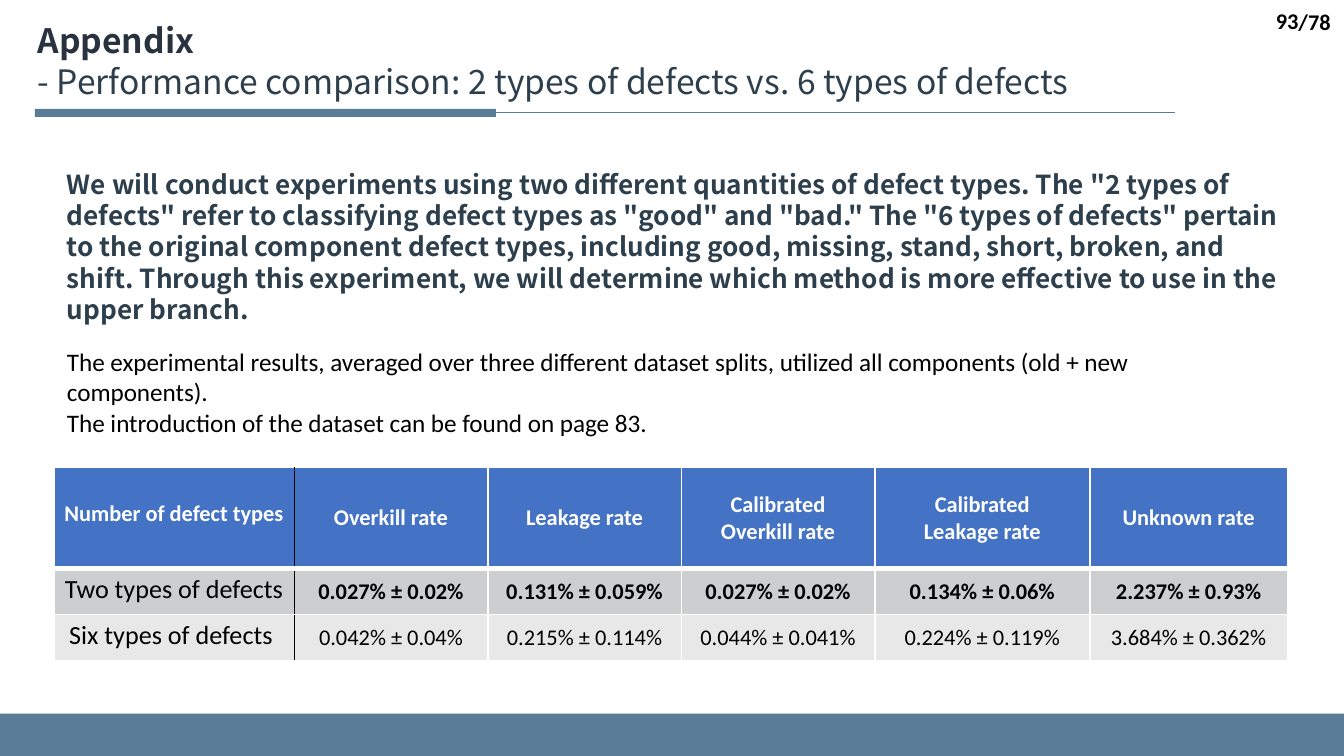
from lxml import etree
from pptx import Presentation
from pptx import util as u
from pptx.dml.color import RGBColor
from pptx.enum import shapes, text
from pptx.oxml.ns import qn

WIDTH = 10
HEIGHT = WIDTH * 9 / 16

STEEL = RGBColor(0x59, 0x7D, 0x98)
INK = RGBColor(0x29, 0x32, 0x3F)
SLATE = RGBColor(0x2D, 0x3F, 0x4C)
BLACK = RGBColor(0, 0, 0)
WHITE = RGBColor(0xFF, 0xFF, 0xFF)
HEADER_BLUE = RGBColor(0x44, 0x72, 0xC4)
DARK_BAND = RGBColor(0xCD, 0xCE, 0xCF)
LIGHT_BAND = RGBColor(0xE8, 0xE8, 0xE8)

SANS = "Noto Sans CJK SC"
CALIBRI = "Calibri"

INTRO = (
    'We will conduct experiments using two different quantities of defect types. '
    'The "2 types of defects" refer to classifying defect types as "good" and "bad." '
    'The "6 types of defects" pertain to the original component defect types, including '
    'good, missing, stand, short, broken, and shift. Through this experiment, we will '
    'determine which method is more effective to use in the upper branch.'
)
NOTES = [
    "The experimental results, averaged over three different dataset splits, utilized "
    "all components (old + new components).",
    "The introduction of the dataset can be found on page 83.",
]
RESULTS = [
    ["Number of defect types ", "Overkill rate", "Leakage rate",
     "Calibrated\nOverkill rate", "Calibrated\nLeakage rate", "Unknown rate"],
    ["Two types of defects ", "0.027% ± 0.02%", "0.131% ± 0.059%",
     "0.027% ± 0.02%", "0.134% ± 0.06%", "2.237% ± 0.93%"],
    ["Six types of defects ", "0.042% ± 0.04%", "0.215% ± 0.114%",
     "0.044% ± 0.041%", "0.224% ± 0.119%", "3.684% ± 0.362%"],
]
COLUMN_WIDTHS = [1.79, 1.44, 1.44, 1.44, 1.6, 1.47]
ROW_HEIGHTS = [0.75, 0.3, 0.3]
ROW_FILLS = [HEADER_BLUE, DARK_BAND, LIGHT_BAND]


def box(left, top, width, height):
    return [u.Inches(v) for v in (left, top, width, height)]


def set_font(font, name, size, color, bold=False):
    font.name = name
    font.size = u.Pt(size)
    font.color.rgb = color
    font.bold = bold


def add_bar(s, *bounds):
    sp = s.shapes.add_shape(shapes.MSO_SHAPE.RECTANGLE, *box(*bounds))
    sp.shadow.inherit = False
    sp.fill.solid()
    sp.fill.fore_color.rgb = STEEL
    sp.line.fill.background()


def add_rule(s, left, right, y):
    line = s.shapes.add_connector(
        shapes.MSO_CONNECTOR.STRAIGHT,
        u.Inches(left), u.Inches(y), u.Inches(right), u.Inches(y))
    line.line.color.rgb = STEEL
    line.line.width = u.Pt(0.5)
    etree.SubElement(line.element.spPr, qn("a:effectLst"))


def add_title(s, heading, subtitle):
    title = s.shapes.title
    title.left, title.top, title.width, title.height = box(0.18, 0.1, 8.3, 0.71)
    tf = title.text_frame
    tf.word_wrap = True
    tf.auto_size = text.MSO_AUTO_SIZE.NONE
    tf.vertical_anchor = text.MSO_ANCHOR.TOP
    p = tf.paragraphs[0]
    p.alignment = text.PP_ALIGN.LEFT
    p.line_spacing = u.Pt(21.6)
    r = p.add_run()
    r.text = heading
    set_font(r.font, SANS, 18, INK, True)
    p.add_line_break()
    r = p.add_run()
    r.text = subtitle
    set_font(r.font, SANS, 18, SLATE)


def add_text(s, bounds, lines, font, align=text.PP_ALIGN.LEFT,
             anchor=text.MSO_ANCHOR.TOP, spacing=None):
    tf = s.shapes.add_textbox(*box(*bounds)).text_frame
    tf.word_wrap = True
    tf.vertical_anchor = anchor
    for i, line in enumerate(lines):
        p = tf.add_paragraph() if i else tf.paragraphs[0]
        p.text = line
        p.alignment = align
        p.line_spacing = spacing
        set_font(p.font, *font)


def add_page_number(s, bounds, number):
    add_text(s, bounds, [number], (CALIBRI, 12, BLACK, True),
             text.PP_ALIGN.RIGHT, text.MSO_ANCHOR.MIDDLE)


def set_borders(cell, left, right, top, bottom):
    """Draw the four cell borders, each given as (colour, points)."""
    tcPr = cell._tc.get_or_add_tcPr()
    edges = {"lnL": left, "lnR": right, "lnT": top, "lnB": bottom}
    for i, (tag, (color, width)) in enumerate(edges.items()):
        ln = etree.Element(qn(f"a:{tag}"), w=str(u.Pt(width)))
        fill = etree.SubElement(ln, qn("a:solidFill"))
        etree.SubElement(fill, qn("a:srgbClr"), val=str(color))
        tcPr.insert(i, ln)


def set_margins(cell, side, top, bottom):
    cell.margin_left = cell.margin_right = u.Inches(side)
    cell.margin_top, cell.margin_bottom = u.Inches(top), u.Inches(bottom)


def format_cell(cell, row, col):
    header, label = row == 0, col == 0
    cell.fill.solid()
    cell.fill.fore_color.rgb = ROW_FILLS[row]
    if label:
        set_margins(cell, 0.07, 0.24 if header else 0.04, 0.04)
    else:
        cell.vertical_anchor = text.MSO_ANCHOR.MIDDLE
        if not header:
            set_margins(cell, 0.13, 0.07, 0.07)
    for p in cell.text_frame.paragraphs:
        p.alignment = text.PP_ALIGN.CENTER
        set_font(p.font, CALIBRI, 14 if label and not header else 12,
                 WHITE if header else BLACK,
                 header or (row == 1 and not label))
    thin, divider, thick = (WHITE, 1), (BLACK, 1), (WHITE, 3)
    set_borders(cell,
                left=divider if col == 1 else thin,
                right=divider if label else thin,
                top=thick if row == 1 else thin,
                bottom=thick if header else thin)


def add_results_table(s):
    frame = s.shapes.add_table(
        len(RESULTS), len(COLUMN_WIDTHS),
        *box(0.4, 3.48, sum(COLUMN_WIDTHS), sum(ROW_HEIGHTS)))
    table = frame.table
    for column, width in zip(table.columns, COLUMN_WIDTHS):
        column.width = u.Inches(width)
    for i, values in enumerate(RESULTS):
        table.rows[i].height = u.Inches(ROW_HEIGHTS[i])
        for j, value in enumerate(values):
            cell = table.cell(i, j)
            cell.text = value
            format_cell(cell, i, j)


def main():
    prs = Presentation()
    prs.slide_width, prs.slide_height = u.Inches(WIDTH), u.Inches(HEIGHT)
    s = prs.slides.add_slide(prs.slide_layouts.get_by_name("Title Only"))

    add_bar(s, 0, 5.31, WIDTH, HEIGHT - 5.31)
    add_rule(s, 0.27, 8.74, 0.84)
    add_bar(s, 0.26, 0.81, 3.43, 0.06)
    add_title(s, "Appendix",
              "- Performance comparison: 2 types of defects vs. 6 types of defects")
    add_results_table(s)
    add_text(s, (0.4, 2.53, 9.13, 0.56), NOTES, (CALIBRI, 13.5, BLACK))
    add_text(s, (0.4, 1.2, 9.35, 1.28), [INTRO], (SANS, 14, SLATE, True),
             spacing=u.Pt(16.8))
    add_page_number(s, (9.54, 0.01, 0.46, 0.3), "/78")
    add_page_number(s, (7.75, 0, 2.01, 0.31), "93")

    prs.save("out.pptx")


if __name__ == "__main__":
    main()
